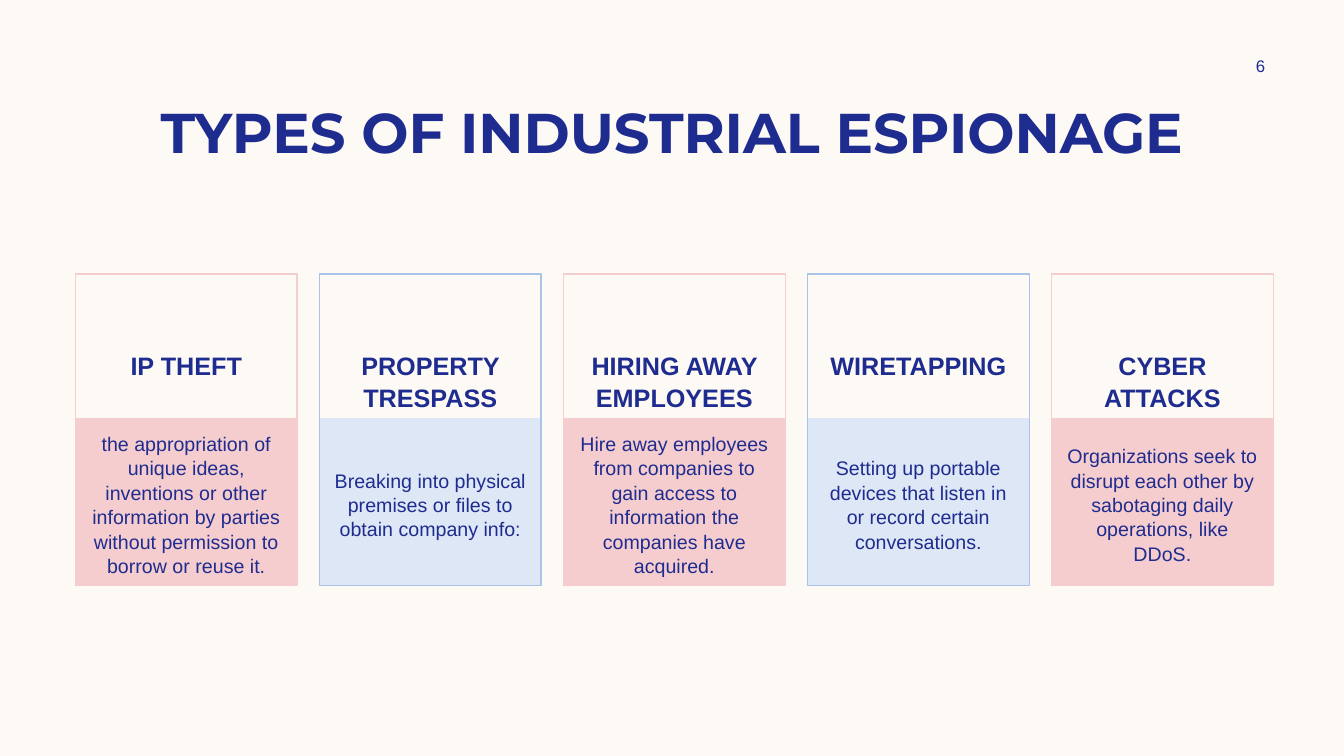
from pptx import Presentation
from pptx.dml.color import RGBColor
from pptx.enum.shapes import MSO_SHAPE
from pptx.enum.text import MSO_ANCHOR, MSO_AUTO_SIZE, PP_ALIGN
from pptx.util import Cm, Pt

RECTANGLE = MSO_SHAPE.RECTANGLE
TOP, MIDDLE = MSO_ANCHOR.TOP, MSO_ANCHOR.MIDDLE
CENTER = PP_ALIGN.CENTER
NO_AUTOFIT = MSO_AUTO_SIZE.NONE
TITLE_ONLY = 5

COLORS = {
    "background": "FDFAF6",
    "navy": "1F2C8F",
    "pink": "F5CDCE",
    "pale blue": "DDE7F6",
    "blue": "AAC3E8",
}
# Tint and outline, alternating from card to card
CARD_STYLES = [("pink", "pink"), ("pale blue", "blue")]

ESPIONAGE_TYPES = [
    ("IP THEFT", "the appropriation of unique ideas, inventions or other "
                 "information by parties without permission to borrow or reuse it."),
    ("PROPERTY TRESPASS", "Breaking into physical premises or files to "
                          "obtain company info:"),
    ("HIRING AWAY EMPLOYEES", "Hire away employees from companies to gain access "
                              "to information the companies have acquired."),
    ("WIRETAPPING", "Setting up portable devices that listen in or record "
                    "certain conversations."),
    ("CYBER ATTACKS", "Organizations seek to disrupt each other by sabotaging "
                      "daily operations, like DDoS."),
]

CARD_LEFT, CARD_TOP = 1.9, 6.91
CARD_WIDTH, CARD_HEIGHT = 5.59, 7.85
CARD_PITCH = 6.15
TINT_HEIGHT = 4.22
HEADING_INSET = 1.9
TEXT_MARGIN, TEXT_TOP, TEXT_HEIGHT = 0.13, 10.8, 3.81


def color(name):
    return RGBColor.from_string(COLORS[name])


def write(frame, text, *, size, font="Arial", bold=False, anchor=TOP, spacing=1.0):
    frame.word_wrap = True
    frame.auto_size = NO_AUTOFIT
    frame.vertical_anchor = anchor
    paragraph = frame.paragraphs[0]
    paragraph.alignment = CENTER
    paragraph.line_spacing = spacing
    run = paragraph.add_run()
    run.text = text
    run.font.name = font
    run.font.size = Pt(size)
    run.font.bold = bold
    run.font.color.rgb = color("navy")


class SlideBuilder:
    """Places elements on one slide, with lengths in centimetres."""

    def __init__(self, slide):
        self.slide = slide
        slide.background.fill.solid()
        slide.background.fill.fore_color.rgb = color("background")

    def title(self, text, left, top, width, height):
        heading = self.slide.shapes.title
        heading.left, heading.top = Cm(left), Cm(top)
        heading.width, heading.height = Cm(width), Cm(height)
        write(heading.text_frame, text, size=40, font="Montserrat", bold=True)

    def rectangle(self, left, top, width, height, fill=None, outline=None):
        box = self.slide.shapes.add_shape(
            RECTANGLE, Cm(left), Cm(top), Cm(width), Cm(height))
        box.shadow.inherit = False
        if fill:
            box.fill.solid()
            box.fill.fore_color.rgb = color(fill)
        else:
            box.fill.background()
        if outline:
            box.line.color.rgb = color(outline)
            box.line.width = Pt(1)
        else:
            box.line.fill.background()
        return box

    def text(self, text, left, top, width, height, **text_format):
        box = self.slide.shapes.add_textbox(
            Cm(left), Cm(top), Cm(width), Cm(height))
        write(box.text_frame, text, **text_format)

    def card(self, left, heading, description, tint, outline):
        """Draws an outlined card with a heading above a tinted description."""
        tint_top = CARD_TOP + CARD_HEIGHT - TINT_HEIGHT
        self.rectangle(left, tint_top, CARD_WIDTH, TINT_HEIGHT, fill=tint)
        outlined = self.rectangle(left, CARD_TOP, CARD_WIDTH, CARD_HEIGHT,
                                  outline=outline)
        outlined.text_frame.margin_top = Cm(HEADING_INSET)
        write(outlined.text_frame, heading, size=18, bold=True, spacing=1.04)
        self.text(description, left + TEXT_MARGIN, TEXT_TOP,
                  CARD_WIDTH - 2 * TEXT_MARGIN, TEXT_HEIGHT,
                  size=14, anchor=MIDDLE, spacing=1.04)


def main():
    presentation = Presentation()
    presentation.slide_width, presentation.slide_height = Cm(33.87), Cm(19.05)
    layout = presentation.slide_layouts[TITLE_ONLY]
    builder = SlideBuilder(presentation.slides.add_slide(layout))

    builder.title("TYPES OF INDUSTRIAL ESPIONAGE", 2.11, 2.34, 29.64, 2.13)
    builder.text("6", 30.4, 1.27, 2.74, 0.76, size=12, anchor=MIDDLE)
    for index, (heading, description) in enumerate(ESPIONAGE_TYPES):
        tint, outline = CARD_STYLES[index % len(CARD_STYLES)]
        builder.card(CARD_LEFT + index * CARD_PITCH, heading, description,
                     tint, outline)

    presentation.save("out.pptx")


if __name__ == "__main__":
    main()
